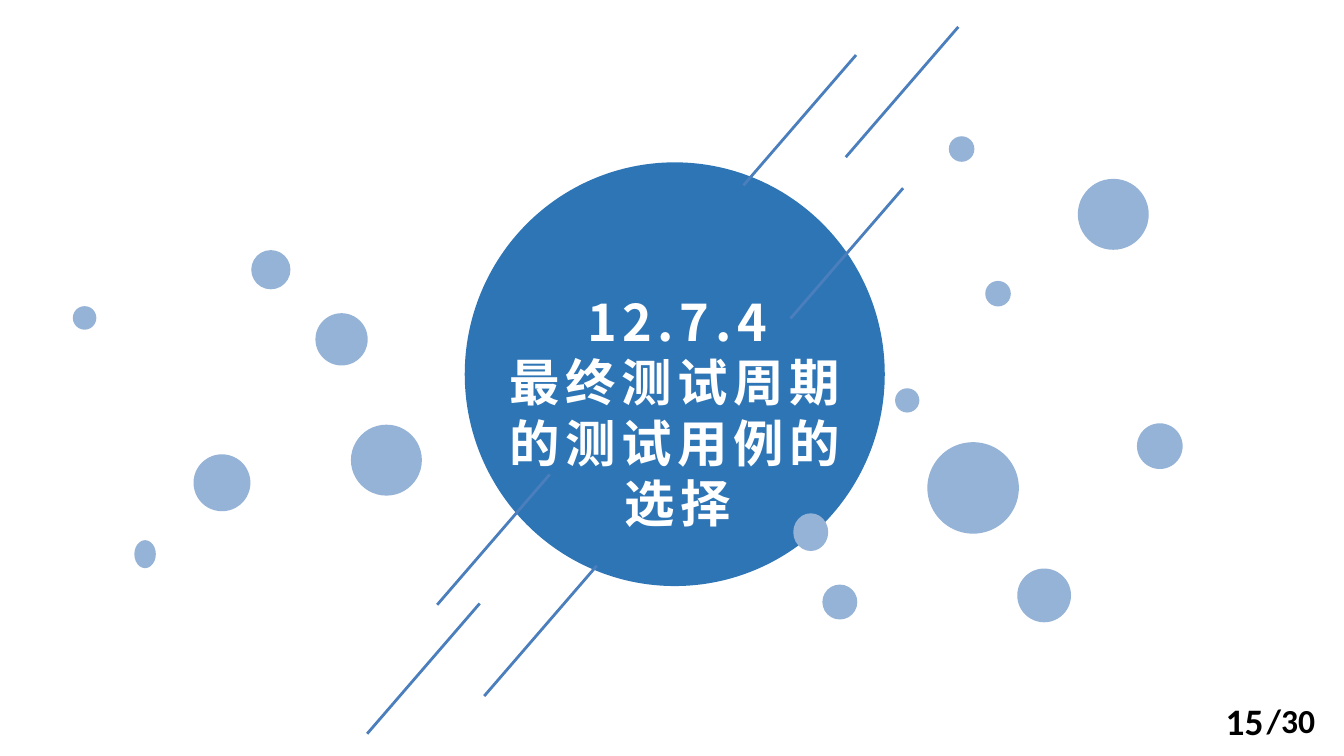
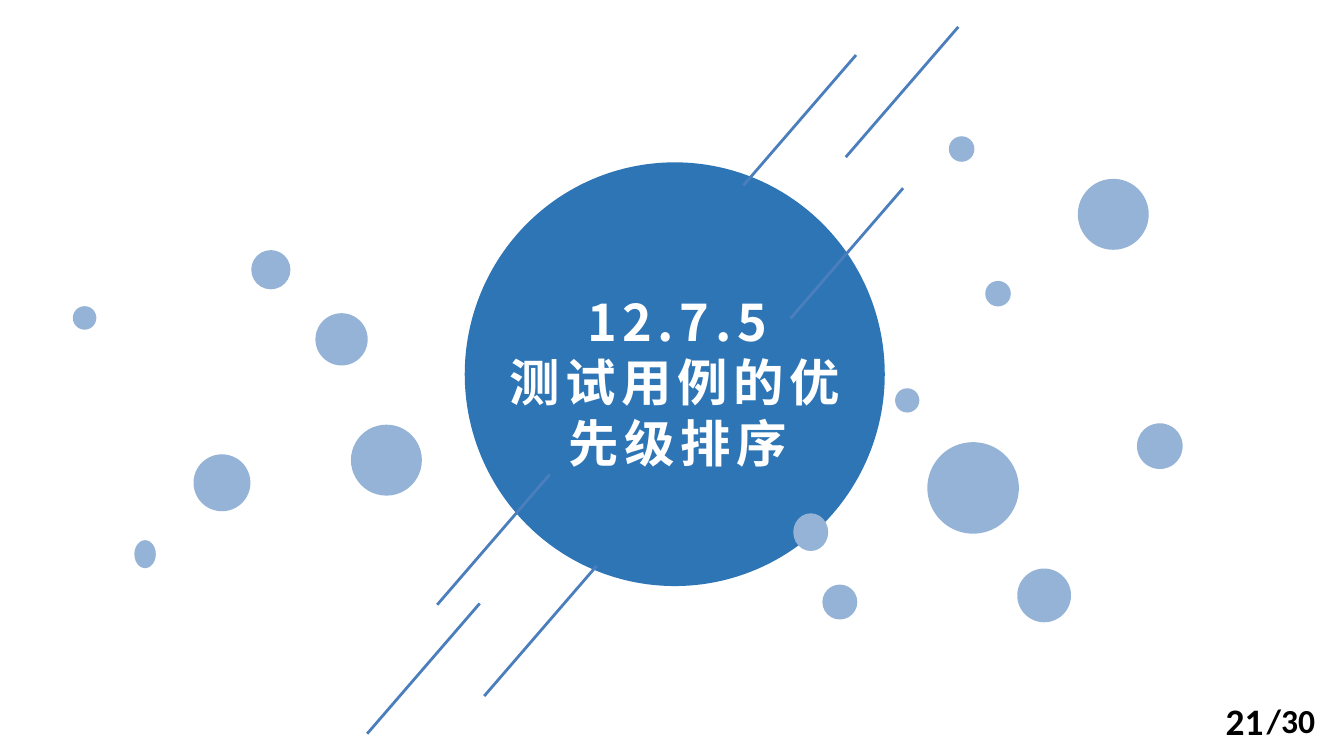
from lxml import etree
from pptx import Presentation
from pptx.dml.color import RGBColor
from pptx.enum.shapes import MSO_CONNECTOR, MSO_SHAPE
from pptx.enum.text import MSO_ANCHOR, MSO_AUTO_SIZE, PP_ALIGN
from pptx.oxml.ns import qn
from pptx.util import Pt

OVAL = MSO_SHAPE.OVAL
STRAIGHT = MSO_CONNECTOR.STRAIGHT
TOP, MIDDLE = MSO_ANCHOR.TOP, MSO_ANCHOR.MIDDLE
LEFT, CENTER, RIGHT = PP_ALIGN.LEFT, PP_ALIGN.CENTER, PP_ALIGN.RIGHT
GROW, FIXED = MSO_AUTO_SIZE.SHAPE_TO_FIT_TEXT, MSO_AUTO_SIZE.NONE

WHITE = RGBColor(0xFF, 0xFF, 0xFF)
BLACK = RGBColor(0x00, 0x00, 0x00)
DISC_BLUE = RGBColor(0x2E, 0x75, 0xB6)
BUBBLE_BLUE = RGBColor(0x95, 0xB3, 0xD7)
STROKE_BLUE = RGBColor(0x4B, 0x7E, 0xBC)

HEADING_FONT = "Noto Sans CJK SC"
NUMBER_FONT = "Calibri"
TITLE_ONLY = 5
PAGE_WIDTH, PAGE_HEIGHT = 720, 405
PAGE_TOTAL = 30
LINE_PITCH = 32.4
STROKE_RUN, STROKE_DROP = 60.3, 69.8

DISC_BOX = (249, 87, 225, 227)
FOOTER_BOX = (516, 371.5, 203, 29)

LEFT_BUBBLES = (39, 134), [
    (33, 155.4, 11.5, 15), (64.7, 109.4, 30.5, 30.5), (149, 93.5, 38, 38),
    (0, 30, 12.6, 12.6), (130, 33.8, 28, 28), (95.6, 0, 21, 21),
]
RIGHT_BUBBLES = (425, 73), [
    (54.5, 135, 13, 13), (152.4, 22.8, 38, 38), (15.6, 240.2, 18.7, 18.7),
    (0, 202, 18.7, 20.2), (102.8, 77.5, 13.7, 13.7), (71.8, 163.9, 49, 49),
    (83.3, 0, 13.7, 13.7), (184.1, 153.8, 24.5, 24.5),
    (120, 231.6, 28.8, 28.8),
]
UPPER_STROKES = (398, 14), [(60.6, 15.5), (115.4, 0.4), (85.8, 86.8)]
LOWER_STROKES = (196, 254), [(61, 69.3), (123.7, 49.1), (98.5, 0.2)]

SECTIONS = [
    (15, "12.7.4", "最终测试周期的测试用例的选择", 170.6),
    (21, "12.7.5", "测试用例的优先级排序", 138.2),
]


def write_text(box, lines, *, font, size, color, align=LEFT, anchor=TOP,
               fit=FIXED, top_inset=3.6, pitch=None, tracking=0):
    """Fill a box with bold paragraphs in one format."""
    frame = box.text_frame
    frame.word_wrap = True
    frame.auto_size = fit
    frame.vertical_anchor = anchor
    frame.margin_top = Pt(top_inset)
    frame.text = "\n".join(lines)
    for para in frame.paragraphs:
        para.alignment = align
        if pitch:
            para.line_spacing = Pt(pitch)
        for span in para.runs:
            span.font.name = font
            span.font.size = Pt(size)
            span.font.bold = True
            span.font.color.rgb = color
    for latin in list(box.element.iter(qn("a:latin"))):
        east_asian = etree.Element(qn("a:ea"), typeface=font)
        latin.addnext(east_asian)
        if tracking:
            latin.getparent().set("spc", str(tracking * 100))


def add_circle(page, left, top, width, height, color):
    """Add a plain filled ellipse."""
    circle = page.shapes.add_shape(OVAL, Pt(left), Pt(top), Pt(width), Pt(height))
    circle.shadow.inherit = False
    circle.fill.solid()
    circle.fill.fore_color.rgb = color
    circle.line.fill.background()
    return circle


def add_heading(page, box, lines, title_height):
    """Place the section title over the central disc."""
    left, top, width, height = box
    disc = add_circle(page, left, top, width, height, DISC_BLUE)
    title = page.shapes.title
    title.element.addprevious(disc.element)
    title.left, title.top = Pt(left + 8), Pt(top + 30.4)
    title.width, title.height = Pt(211.7), Pt(title_height)
    write_text(title, lines, font=HEADING_FONT, size=27, color=WHITE,
               align=CENTER, fit=GROW, top_inset=38.5, pitch=LINE_PITCH,
               tracking=3)


def add_bubbles(page, origin, bubbles):
    """Scatter light circles from the given corner."""
    left, top = origin
    for x, y, width, height in bubbles:
        add_circle(page, left + x, top + y, width, height, BUBBLE_BLUE)


def add_strokes(page, origin, starts):
    """Draw parallel slanting lines from the given corner."""
    left, top = origin
    for x, y in starts:
        stroke = page.shapes.add_connector(
            STRAIGHT, Pt(left + x), Pt(top + y),
            Pt(left + x - STROKE_RUN), Pt(top + y + STROKE_DROP))
        stroke.line.color.rgb = STROKE_BLUE
        stroke.line.width = Pt(1.5)
        properties = stroke.element.find(qn("p:spPr"))
        etree.SubElement(properties, qn("a:effectLst"))


def add_footer(page, box, number):
    """Write the page number and the page total."""
    left, top, width, height = box
    total_width = 47.5
    total = page.shapes.add_textbox(
        Pt(left + width - total_width), Pt(top), Pt(total_width), Pt(height))
    write_text(total, [f"/{PAGE_TOTAL}"], font=NUMBER_FONT, size=18,
               color=BLACK, fit=GROW)
    current = page.shapes.add_textbox(Pt(left), Pt(top + 3.6), Pt(168), Pt(21.6))
    write_text(current, [str(number)], font=NUMBER_FONT, size=20,
               color=BLACK, align=RIGHT, anchor=MIDDLE)


def add_section(deck, number, code, name, title_height):
    """Build one section divider."""
    page = deck.slides.add_slide(deck.slide_layouts[TITLE_ONLY])
    add_heading(page, DISC_BOX, [code, name], title_height)
    for cluster in (LEFT_BUBBLES, RIGHT_BUBBLES):
        add_bubbles(page, *cluster)
    for strokes in (UPPER_STROKES, LOWER_STROKES):
        add_strokes(page, *strokes)
    add_footer(page, FOOTER_BOX, number)


def main():
    """Build and save the deck."""
    deck = Presentation()
    deck.slide_width, deck.slide_height = Pt(PAGE_WIDTH), Pt(PAGE_HEIGHT)
    for section in SECTIONS:
        add_section(deck, *section)
    deck.save("out.pptx")


if __name__ == "__main__":
    main()
